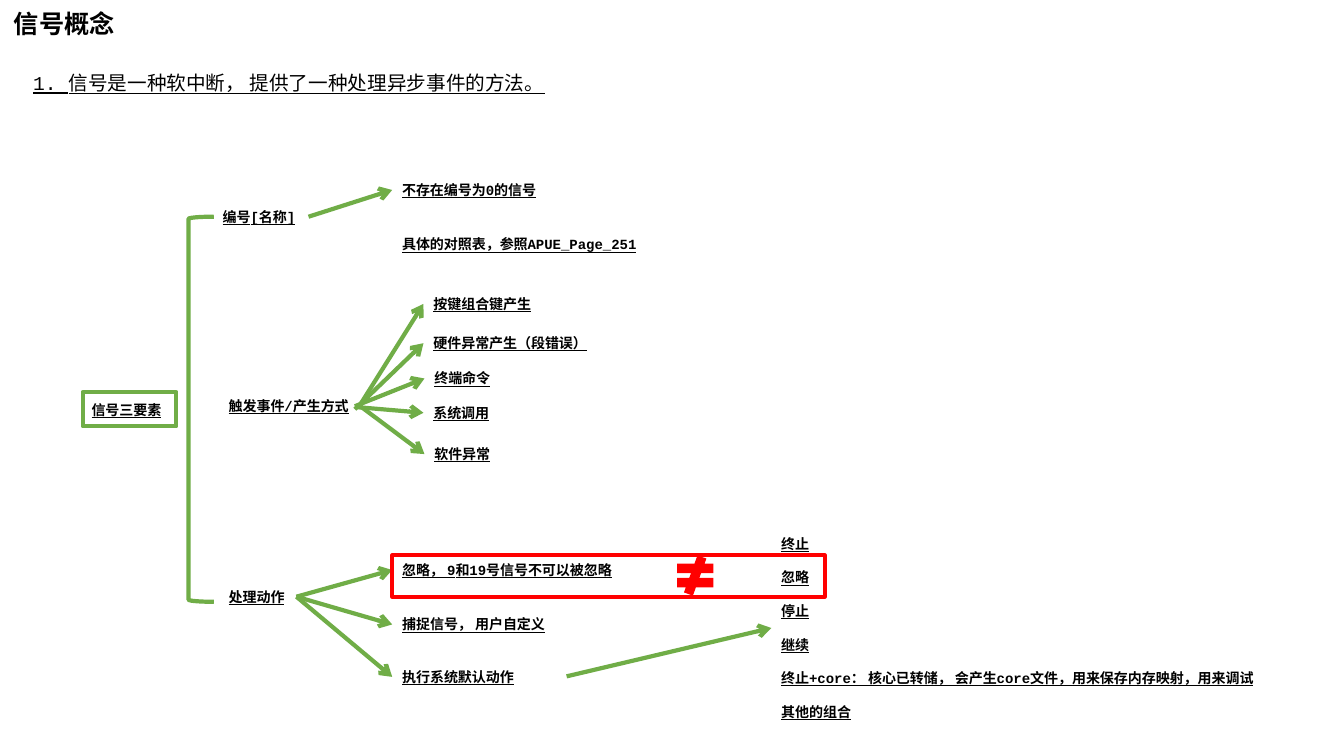
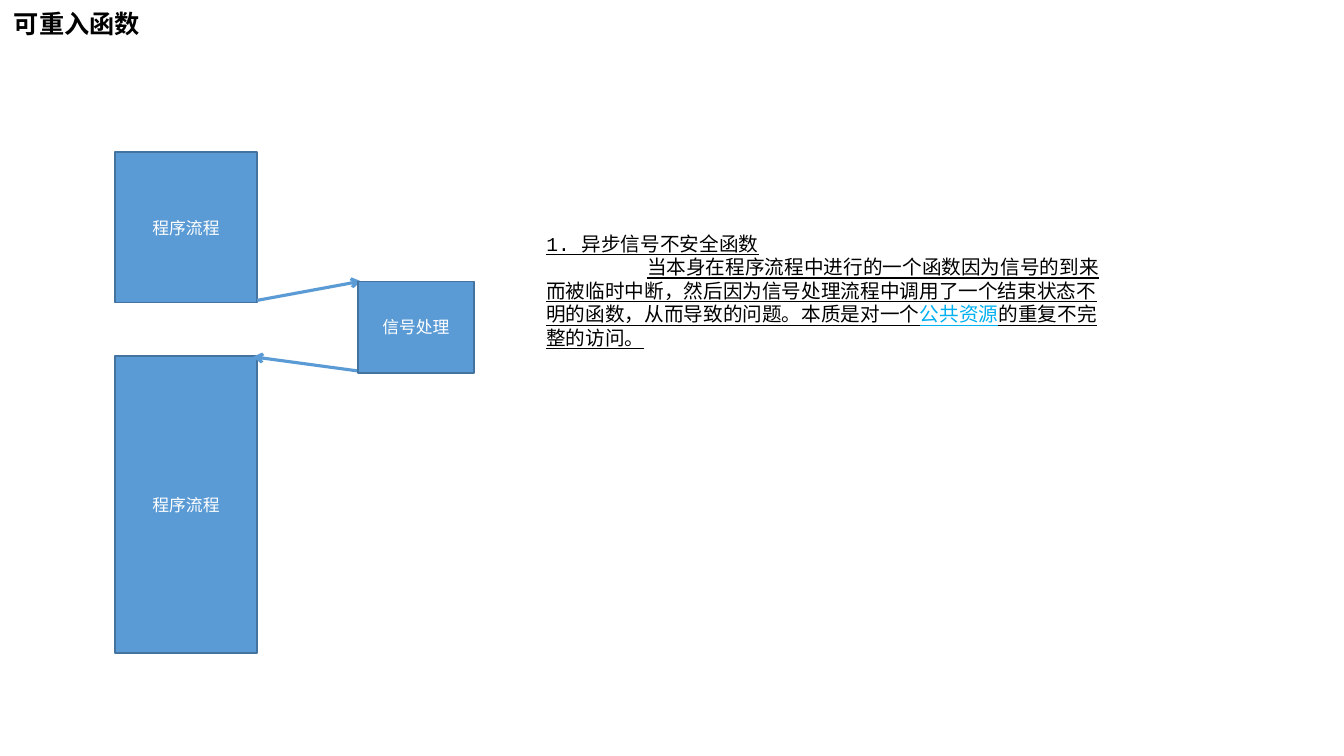
from lxml.etree import SubElement
from pptx import Presentation
from pptx.dml.color import RGBColor
from pptx.enum.shapes import MSO_CONNECTOR as Connector, MSO_SHAPE as Shape
from pptx.enum.text import MSO_ANCHOR as Anchor, MSO_AUTO_SIZE as AutoSize, PP_ALIGN as Align
from pptx.oxml.ns import qn
from pptx.util import Inches, Pt

BLACK = RGBColor(0x00, 0x00, 0x00)
WHITE = RGBColor(0xFF, 0xFF, 0xFF)
GREEN = RGBColor(0x70, 0xAD, 0x47)
RED = RGBColor(0xFF, 0x00, 0x00)
BLUE = RGBColor(0x5B, 0x9B, 0xD5)
DARK_BLUE = RGBColor(0x43, 0x73, 0x9E)
SKY = RGBColor(0x00, 0xB0, 0xF0)
HEADING_FONT, BODY_FONT = "Arial", "Courier New"
LABEL_HEIGHT = 0.27


class Board:
    """Holds the deck, the shared style and the current page."""

    def __init__(self):
        """Start an empty widescreen deck."""
        self.deck = Presentation()
        self.deck.slide_width = Inches(13.33)
        self.deck.slide_height = Inches(7.5)
        self.page = None

    def add_page(self, title, width):
        """Open a blank page with its title."""
        self.page = self.deck.slides.add_slide(self.deck.slide_layouts[6])
        self.text(0.04, 0.03, width, 0.4, [title], 18, HEADING_FONT, bold=True, underline=False)

    @staticmethod
    def style(paragraph, size, name, color):
        """Set the basic font of a paragraph."""
        font = paragraph.font
        font.size, font.name = Pt(size), name
        font.color.rgb = color
        return font

    def text(self, left, top, width, height, lines, size=14, name=BODY_FONT,
             bold=False, underline=True, gap=0):
        """Add a text box with one paragraph per line and return the paragraphs."""
        box = self.page.shapes.add_textbox(Inches(left), Inches(top), Inches(width), Inches(height))
        frame = box.text_frame
        frame.word_wrap = True
        frame.auto_size = AutoSize.SHAPE_TO_FIT_TEXT
        frame.text = "\n".join(lines)
        for para in frame.paragraphs:
            font = self.style(para, size, name, BLACK)
            font.bold, font.underline = bold, underline
            para.space_after = Pt(gap)
        return frame.paragraphs

    def label(self, left, top, width, words, start=None):
        """Add a small bold label, with an arrow to it if a start is given."""
        self.text(left, top, width, LABEL_HEIGHT, [words], 10, bold=True)
        if start:
            self.arrow(start, (left, top + LABEL_HEIGHT / 2))

    def shape(self, kind, left, top, width, height, fill=None, line=None, weight=3):
        """Add a preset shape with an optional fill and outline."""
        shape = self.page.shapes.add_shape(
            kind, Inches(left), Inches(top), Inches(width), Inches(height))
        shape.shadow.inherit = False
        if fill:
            shape.fill.solid()
            shape.fill.fore_color.rgb = fill
        else:
            shape.fill.background()
        if line:
            shape.line.color.rgb = line
            shape.line.width = Pt(weight)
        else:
            shape.line.fill.background()
        return shape

    def block(self, left, top, width, height, words):
        """Add a blue process block with centred words."""
        frame = self.shape(Shape.RECTANGLE, left, top, width, height, BLUE, DARK_BLUE, 1).text_frame
        frame.vertical_anchor = Anchor.MIDDLE
        frame.text = words
        para = frame.paragraphs[0]
        para.alignment = Align.CENTER
        self.style(para, 12, HEADING_FONT, WHITE)

    def arrow(self, start, end, color=GREEN, weight=3):
        """Draw a straight arrow from start to end."""
        line = self.page.shapes.add_connector(
            Connector.STRAIGHT, *(Inches(value) for value in (*start, *end)))
        line.line.color.rgb = color
        line.line.width = Pt(weight)
        properties = line._element.spPr
        SubElement(properties.find(qn("a:ln")), qn("a:tailEnd"), type="arrow")
        SubElement(properties, qn("a:effectLst"))


def signal_page(board):
    """Build the mind map of the three elements of a signal."""
    board.add_page("信号概念", 1.45)
    board.text(0.23, 0.65, 7.42, 0.34, ["1. 信号是一种软中断， 提供了一种处理异步事件的方法。"])

    board.shape(Shape.RECTANGLE, 0.82, 3.89, 0.93, 0.34, line=GREEN)
    board.label(0.81, 3.93, 0.94, "信号三要素")
    board.shape(Shape.LEFT_BRACKET, 1.87, 2.15, 0.25, 3.82, line=GREEN)
    board.label(2.11, 2.02, 0.94, "编号[名称]")
    board.label(2.17, 3.89, 1.72, "触发事件/产生方式")
    board.label(2.17, 5.79, 0.77, "处理动作")

    board.label(3.89, 1.75, 2.34, "不存在编号为0的信号", (3.06, 2.15))
    board.label(3.89, 2.29, 3.5, "具体的对照表，参照APUE_Page_251")

    triggers = [
        (4.2, 2.88, 1.72, "按键组合键产生", (3.55, 4.05)),
        (4.2, 3.27, 2.22, "硬件异常产生（段错误）", (3.52, 4.06)),
        (4.21, 3.62, 0.94, "终端命令", (3.52, 4.03)),
        (4.2, 3.96, 0.94, "系统调用", (3.55, 4.04)),
        (4.21, 4.37, 0.94, "软件异常", (3.56, 4.02)),
    ]
    for trigger in triggers:
        board.label(*trigger)

    actions = [
        (5.52, 3.24, "忽略， 9和19号信号不可以被忽略"),
        (6.06, 1.72, "捕捉信号， 用户自定义"),
        (6.58, 1.72, "执行系统默认动作"),
    ]
    for top, width, words in actions:
        board.label(3.89, top, width, words, (2.94, 5.92))

    defaults = ["终止", "忽略", "停止", "继续",
                "终止+core： 核心已转储， 会产生core文件，用来保存内存映射，用来调试",
                "其他的组合"]
    board.text(7.65, 5.26, 5.56, 1.95, defaults, 10, bold=True, gap=12)
    board.arrow((5.62, 6.71), (7.65, 6.23))
    board.shape(Shape.MATH_NOT_EQUAL, 6.65, 5.51, 0.49, 0.4, fill=RED)
    board.shape(Shape.RECTANGLE, 3.89, 5.51, 4.29, 0.41, line=RED)


def reentrant_page(board):
    """Build the page on reentrant functions."""
    board.add_page("可重入函数", 2.51)
    board.block(1.14, 1.51, 1.41, 1.49, "程序流程")
    board.block(1.14, 3.53, 1.41, 2.95, "程序流程")
    board.arrow((2.55, 2.98), (3.58, 2.79), BLUE, 2.25)
    board.arrow((3.55, 3.68), (2.51, 3.54), BLUE, 2.25)
    board.block(3.55, 2.79, 1.15, 0.91, "信号处理")

    opening = ("当本身在程序流程中进行的一个函数因为信号的到来而被临时中断，"
               "然后因为信号处理流程中调用了一个结束状态不明的函数，"
               "从而导致的问题。本质是对一个")
    explanation = board.text(5.32, 2.25, 5.8, 1.28, ["1. 异步信号不安全函数", opening])[1]
    explanation._p.get_or_add_pPr().set("indent", str(Inches(1)))
    resource = explanation.add_run()
    resource.text = "公共资源"
    resource.font.color.rgb = SKY
    explanation.add_run().text = "的重复不完整的访问。"


board = Board()
signal_page(board)
reentrant_page(board)
board.deck.save("out.pptx")
